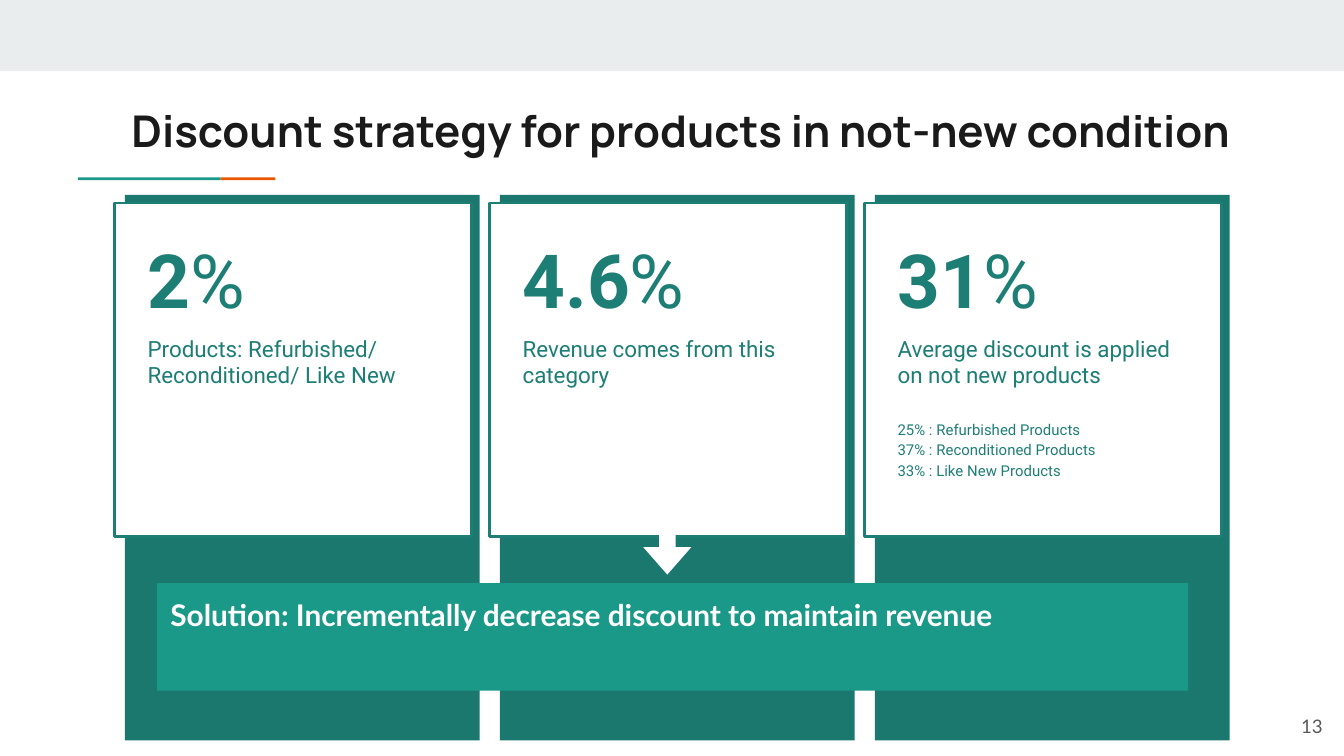
import pptx
import pptx.util
import pptx.dml.color
import pptx.enum.shapes
import pptx.enum.text

Inches = pptx.util.Inches
SHAPE = pptx.enum.shapes.MSO_SHAPE
ALIGN = pptx.enum.text.PP_ALIGN
ANCHOR = pptx.enum.text.MSO_ANCHOR

COLORS = {
    "band": "E9EDEE",
    "orange": "EB5600",
    "teal": "1A9988",
    "panel": "1B786F",
    "card_text": "1D7E75",
    "title": "1A1A1A",
    "page": "595959",
    "white": "FFFFFF",
}

TITLE = "Discount strategy for products in not-new condition"
SOLUTION = "Solution: Incrementally decrease discount to maintain revenue"
PAGE = "13"
CARDS = [
    ("2", "Products: Refurbished/ Reconditioned/ Like New", []),
    ("4.6", "Revenue comes from this category", []),
    ("31", "Average discount is applied on not new products", [
        "25% : Refurbished Products",
        "37% : Reconditioned Products",
        "33% : Like New Products",
    ]),
]
SLIDE_WIDTH = 10
SLIDE_HEIGHT = SLIDE_WIDTH * 9 / 16
CARD_LEFT, CARD_STEP = 0.93, 2.79


def rgb(name):
    return pptx.dml.color.RGBColor.from_string(COLORS[name])


def add_block(slide, box, fill, line=None, kind=SHAPE.RECTANGLE):
    block = slide.shapes.add_shape(kind, *map(Inches, box))
    block.shadow.inherit = False
    block.fill.solid()
    block.fill.fore_color.rgb = rgb(fill)
    if line:
        block.line.color.rgb = rgb(line)
        block.line.width = pptx.util.Pt(1.5)
    else:
        block.line.fill.background()
    return block


def write(holder, lines, size, font, color, bold=False, align=ALIGN.LEFT,
          anchor=ANCHOR.TOP, spacing=None):
    frame = holder.text_frame
    frame.word_wrap = True
    frame.vertical_anchor = anchor
    frame.margin_left = frame.margin_right = Inches(0.1)
    frame.margin_top = frame.margin_bottom = Inches(0.1)
    for index, line in enumerate(lines):
        paragraph = frame.add_paragraph() if index else frame.paragraphs[0]
        paragraph.alignment = align
        if spacing:
            paragraph.line_spacing = spacing
        pieces = [(line, bold)] if isinstance(line, str) else line
        for words, is_bold in pieces:
            run = paragraph.add_run()
            run.text = words
            run.font.size = pptx.util.Pt(size)
            run.font.name = font
            run.font.bold = is_bold
            run.font.color.rgb = rgb(color)


def add_text(slide, box, lines, **style):
    write(slide.shapes.add_textbox(*map(Inches, box)), lines, **style)


def add_card(slide, left, figure, caption, details):
    add_block(slide, (left, 1.45, 2.64, 4.06), "panel")
    add_block(slide, (left - 0.08, 1.51, 2.66, 2.48), "white", line="card_text")
    style = {"font": "Roboto", "color": "card_text"}
    text_left, text_width = left + 0.07, 2.36
    add_text(slide, (text_left, 2.39, text_width, 0.61), [caption], size=12, **style)
    add_text(slide, (text_left, 1.64, text_width, 0.67),
             [[(figure, True), ("%", False)]], size=40, **style)
    if details:
        add_text(slide, (text_left, 3.01, text_width, 0.83), details,
                 size=8, spacing=1.15, **style)


def main():
    deck = pptx.Presentation()
    deck.slide_width, deck.slide_height = Inches(SLIDE_WIDTH), Inches(SLIDE_HEIGHT)
    slide = deck.slides.add_slide(deck.slide_layouts[6])

    add_block(slide, (0, 0, SLIDE_WIDTH, 0.53), "band")
    add_block(slide, (1.64, 1.32, 0.41, 0.02), "orange")
    add_block(slide, (0.58, 1.32, 1.06, 0.02), "teal")
    add_text(slide, (0.88, 0.67, 8.41, 0.59), [TITLE],
             size=23.4, font="Manrope", color="title", bold=True)

    for index, card in enumerate(CARDS):
        add_card(slide, CARD_LEFT + index * CARD_STEP, *card)

    arrow = add_block(slide, (4.77, 3.9, 0.39, 0.36), "white", kind=SHAPE.RIGHT_ARROW)
    arrow.rotation = 90
    arrow.adjustments[0] = 0.34
    arrow.adjustments[1] = 0.57

    solution = add_block(slide, (1.17, 4.34, 7.67, 0.8), "teal")
    write(solution, [SOLUTION], size=16, font="Lato", color="white", bold=True)
    add_text(slide, (9.34, 5.19, 0.6, 0.43), [PAGE], size=10, font="Lato",
             color="page", align=ALIGN.RIGHT, anchor=ANCHOR.MIDDLE)

    deck.save("out.pptx")


if __name__ == "__main__":
    main()
